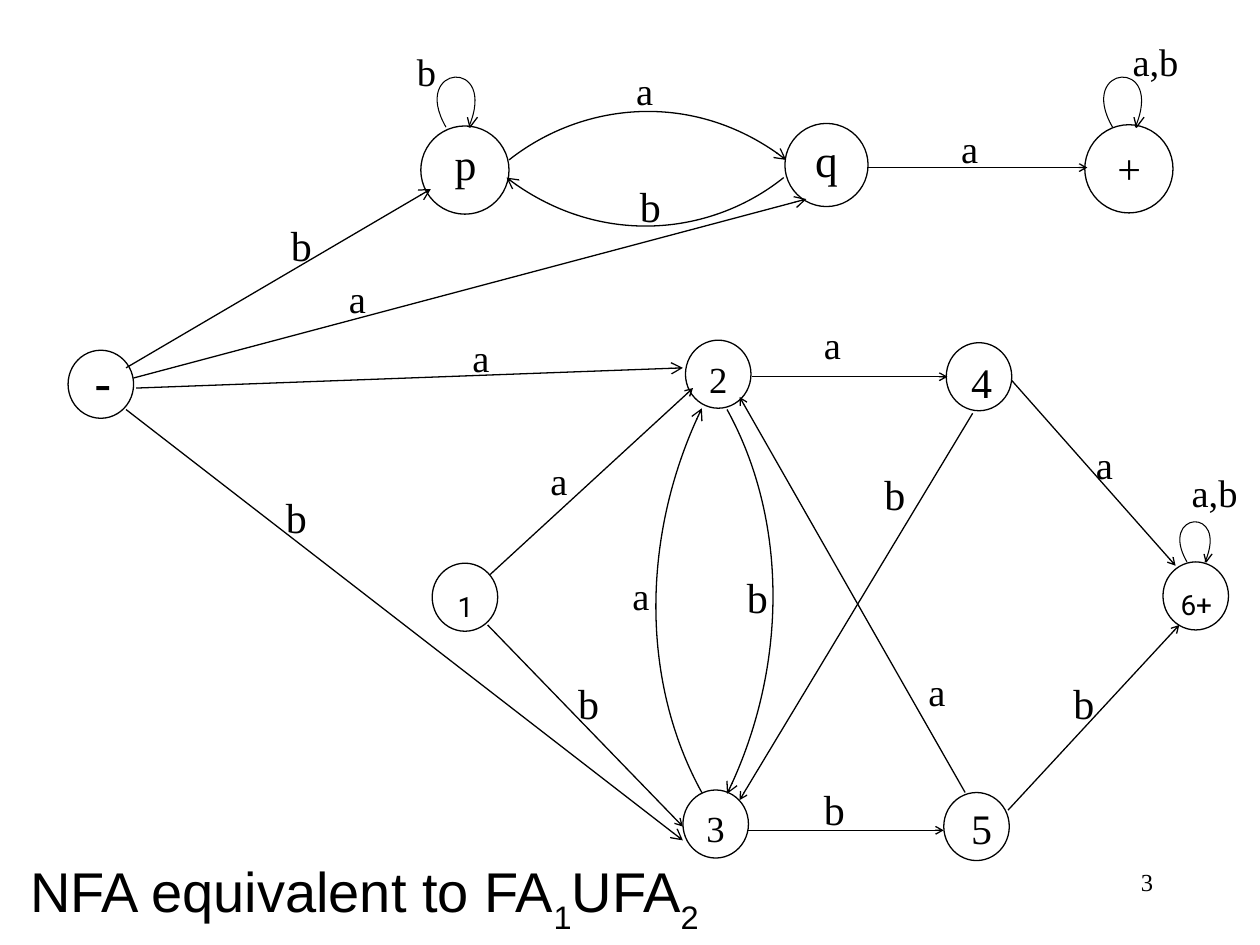
from pptx import Presentation
from pptx import util as u
from pptx.dml.color import RGBColor
from pptx.enum import shapes, text
from pptx.oxml.ns import qn
from lxml import etree

# Grid of 10 columns by 7.5 rows over the slide
WIDTH, HEIGHT = u.Inches(10), u.Inches(7.5)
COLUMN, ROW = WIDTH / 10, HEIGHT / 7.5
SERIF, SANS, ROUND = "Times New Roman", "Arial", "Roboto"
INK, PAPER = "000000", "FFFFFF"
STATE = (0.52, 0.54)
SMALL, MEDIUM, LARGE = (0.41, 0.4), (0.73, 0.51), (0.98, 0.67)

# States: left, top, size, text inside the circle
STATES = [
    (3.34, 1, (0.7, 0.7), ""), (6.23, 0.98, (0.66, 0.66), ""),
    (8.61, 0.99, (0.7, 0.7), ""), (0.54, 2.78, STATE, ""),
    (5.44, 2.7, STATE, "2"), (7.51, 2.72, STATE, ""),
    (3.43, 4.47, STATE, ""), (9.23, 4.46, STATE, ""),
    (5.42, 6.27, STATE, "3"), (7.49, 6.29, STATE, ""),
]

# Straight transitions: from, to
START_EDGES = [
    ((1, 2.92), (3.42, 1.5)), ((1.06, 3), (6.4, 1.58)),
    ((1.08, 3.08), (5.42, 2.92)), ((1, 3.25), (5.42, 6.67)),
]
EDGES = [
    ((6.88, 1.33), (8.63, 1.33)), ((5.97, 2.99), (7.52, 2.99)),
    ((5.94, 6.59), (7.49, 6.59)), ((3.89, 4.56), (5.5, 3.08)),
    ((3.87, 4.96), (5.42, 6.56)), ((8, 6.43), (9.36, 4.96)),
    ((8.03, 3.02), (9.33, 4.49)), ((7.66, 6.29), (5.87, 3.15)),
    ((7.72, 3.28), (5.87, 6.35)),
]

# Curved transitions: start, two control points, end
CURVES = [
    [(4.04, 1.27), (4.61, 0.82), (5.52, 0.71), (6.24, 1.27)],
    [(6.22, 1.41), (5.66, 1.86), (4.75, 1.97), (4.02, 1.41)],
    [(5.77, 3.25), (6.25, 4.12), (6.25, 5.32), (5.77, 6.3)],
    [(5.57, 6.29), (5.09, 5.42), (5.09, 4.23), (5.57, 3.24)],
]

# Self loops: start of the loop, scale
LOOPS = [(3.54, 1.01, 1), (8.83, 1.01, 1), (9.42, 4.46, 0.8)]
LOOP_CURVE = [(0, 0), (-0.29, -0.5), (0.42, -0.56), (0.18, 0)]
LOOP_HEAD = [(0.25, -0.08), (0.19, 0), (0.17, -0.08)]

# Labels: text, left, top, box, font size
LABELS = [
    ("a,b", 8.89, 0.25, LARGE, 22), ("b", 3.21, 0.33, LARGE, 22),
    ("a", 4.95, 0.48, SMALL, 22), ("a", 7.53, 0.94, SMALL, 22),
    ("b", 4.98, 1.38, SMALL, 24), ("+", 8.77, 1.08, SMALL, 24),
    ("q", 6.37, 1, SMALL, 26), ("p", 3.51, 1.04, (0.83, 0.44), 25),
    ("b", 2.21, 1.69, MEDIUM, 24), ("a", 2.67, 2.13, SMALL, 22),
    ("a", 3.65, 2.6, SMALL, 22), ("a", 6.44, 2.5, MEDIUM, 22),
    ("4", 7.61, 2.78, MEDIUM, 24), ("5", 7.61, 6.32, MEDIUM, 24),
    ("a", 4.27, 3.58, MEDIUM, 22), ("a", 8.6, 3.45, MEDIUM, 22),
    ("a,b", 9.36, 3.67, MEDIUM, 22), ("b", 6.92, 3.67, MEDIUM, 24),
    ("b", 2.17, 3.85, MEDIUM, 24), ("a", 4.92, 4.49, MEDIUM, 22),
    ("b", 5.83, 4.49, MEDIUM, 24), ("a", 7.27, 5.25, MEDIUM, 22),
    ("b", 4.49, 5.33, MEDIUM, 24), ("b", 8.42, 5.33, MEDIUM, 24),
    ("b", 6.44, 6.17, MEDIUM, 24),
]


def color(value):
    return RGBColor.from_string(value)


def place(column, row):
    return round(column * COLUMN), round(row * ROW)


def style_line(shape, width=0.75, head=None):
    """Black outline, with an open arrowhead of the given size if any."""
    shape.line.color.rgb = color(INK)
    shape.line.width = u.Pt(width)
    if head:
        outline = shape.line._get_or_add_ln()
        etree.SubElement(outline, qn("a:tailEnd"), type="arrow", w=head, len=head)


def style_text(shape, align=text.PP_ALIGN.LEFT, size=22, font=SERIF, inset=0.05):
    frame = shape.text_frame
    frame.word_wrap = True
    frame.vertical_anchor = text.MSO_ANCHOR.TOP
    frame.margin_top = u.Inches(inset)
    paragraph = frame.paragraphs[0]
    paragraph.alignment = align
    for run in paragraph.runs:
        run.font.size = u.Pt(size)
        run.font.name = font
        run.font.color.rgb = color(INK)


def add_state(slide, left, top, size, name):
    shape = slide.shapes.add_shape(
        shapes.MSO_SHAPE.OVAL, *place(left, top), *place(*size))
    shape.shadow.inherit = False
    shape.fill.solid()
    shape.fill.fore_color.rgb = color(PAPER)
    style_line(shape)
    if name:
        shape.text_frame.text = name
        style_text(shape, text.PP_ALIGN.CENTER, 21)


def add_label(slide, words, left, top, box, size, **style):
    shape = slide.shapes.add_textbox(*place(left, top), *place(*box))
    shape.text_frame.text = words
    style_text(shape, size=size, **style)
    return shape


def add_edge(slide, start, end, head):
    connector = slide.shapes.add_connector(
        shapes.MSO_CONNECTOR.STRAIGHT, *place(*start), *place(*end))
    style_line(connector, head=head)
    etree.SubElement(connector.element.spPr, qn("a:effectLst"))


def add_polyline(slide, points, width=0.75, head=None):
    start, *rest = [place(*point) for point in points]
    builder = slide.shapes.build_freeform(*start)
    builder.add_line_segments(rest, close=False)
    shape = builder.convert_to_shape()
    shape.shadow.inherit = False
    shape.fill.background()
    style_line(shape, width, head)
    return shape


def add_curve(slide, points, width=0.75, head=None):
    """Turn the three segments of a polyline into one Bézier segment."""
    shape = add_polyline(slide, points, width, head)
    bezier, *others = list(shape.element.iter(qn("a:lnTo")))
    for segment in others:
        bezier.append(segment[0])
        segment.getparent().remove(segment)
    bezier.tag = qn("a:cubicBezTo")


def add_loop(slide, left, top, scale):
    def moved(points):
        return [(left + x * scale, top + y * scale) for x, y in points]

    add_curve(slide, moved(LOOP_CURVE), width=0.6)
    add_polyline(slide, moved(LOOP_HEAD))


def add_title(slide):
    shape = add_label(slide, "", 0.14, 6.75, (9.25, 0.58), 32)
    paragraph = shape.text_frame.paragraphs[0]
    for words, baseline in [("NFA equivalent to FA", 0), ("1", -30000),
                            ("UFA", 0), ("2", -30000)]:
        run = paragraph.add_run()
        run.text = words
        if baseline:
            run.font._element.set("baseline", str(baseline))
    style_text(shape, size=32, font=SANS)


def main():
    presentation = Presentation()
    presentation.slide_width, presentation.slide_height = WIDTH, HEIGHT
    slide = presentation.slides.add_slide(presentation.slide_layouts[6])

    # States
    for state in STATES:
        add_state(slide, *state)

    # Transitions
    for curve in CURVES:
        add_curve(slide, curve, head="med")
    for start, end in START_EDGES:
        add_edge(slide, start, end, "med")
    for start, end in EDGES:
        add_edge(slide, start, end, "sm")
    for loop in LOOPS:
        add_loop(slide, *loop)

    # Labels
    for label in LABELS:
        add_label(slide, *label)
    add_label(slide, "-", 0.65, 2.73, (0.83, 0.6), 30, font=SANS)
    for name, left, top in [("1", 3.33, 4.46), ("6+", 9.13, 4.44)]:
        add_label(slide, name, left, top, (0.73, 0.53), 16, font=ROUND,
                  align=text.PP_ALIGN.CENTER, inset=0.22)

    # Title and slide number
    add_title(slide)
    add_label(slide, "3", 7.17, 6.83, (2.08, 0.5), 14,
              align=text.PP_ALIGN.RIGHT)

    presentation.save("out.pptx")


if __name__ == "__main__":
    main()
